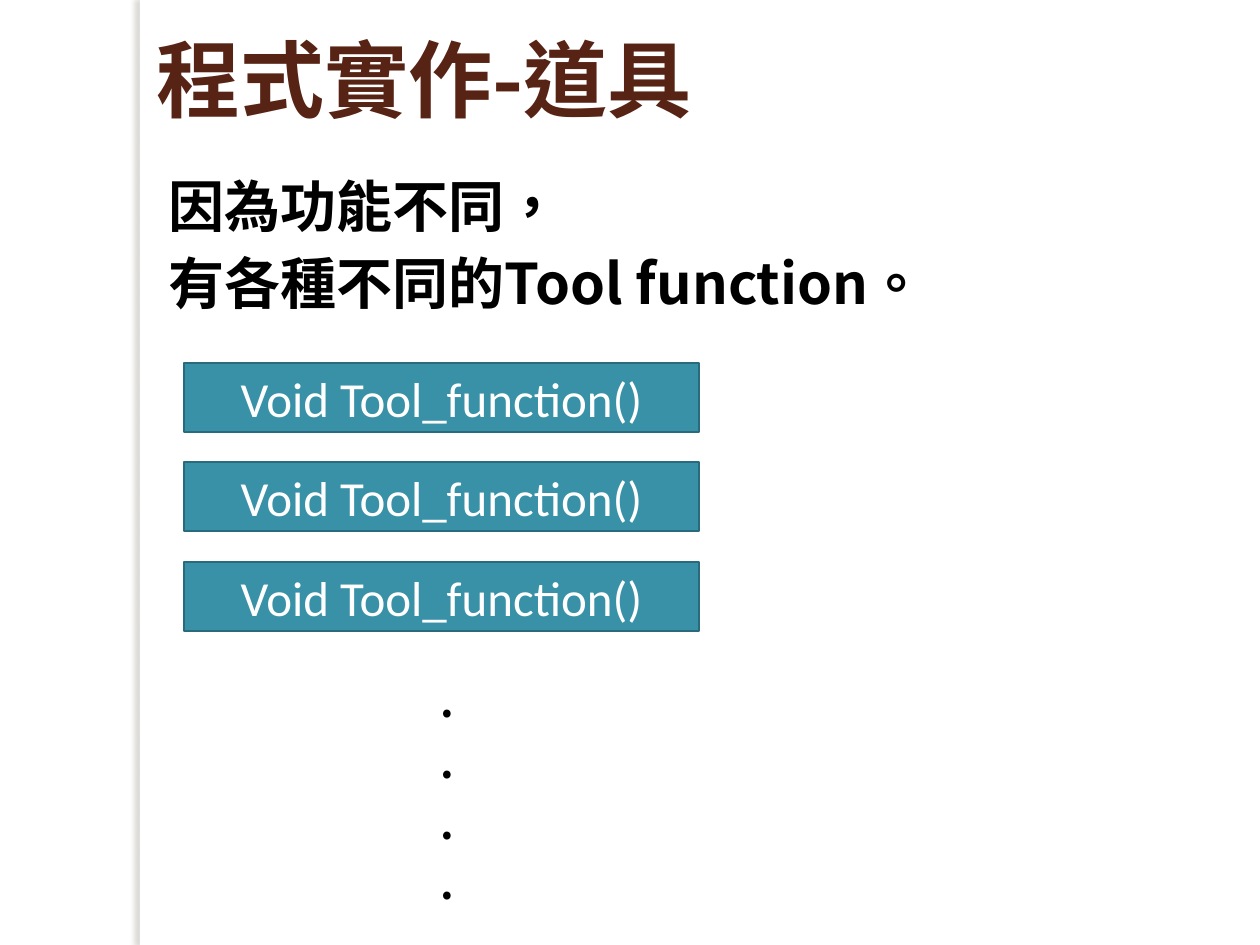
from dataclasses import dataclass

from lxml.etree import SubElement as Sub
from pptx import Presentation
from pptx.dml.color import RGBColor
from pptx.enum.shapes import MSO_SHAPE as Preset
from pptx.enum.text import MSO_ANCHOR as Anchor, PP_ALIGN as Align
from pptx.oxml.ns import qn
from pptx.util import Emu, Pt

PX = 914400 // 126
CJK = "Noto Sans CJK SC"
BLACK = RGBColor(0x00, 0x00, 0x00)
WHITE = RGBColor(0xFF, 0xFF, 0xFF)
BROWN = RGBColor(0x57, 0x23, 0x14)
TEAL = RGBColor(0x38, 0x91, 0xA7)
EDGE = RGBColor(0x29, 0x6B, 0x7C)


@dataclass
class Style:
    size: int
    color: RGBColor
    face: str = CJK
    bold: bool = True
    align: Align = Align.LEFT
    anchor: Anchor = Anchor.TOP
    listed: bool = False  # indented paragraphs with a gap above


@dataclass
class Box:
    x: int
    y: int
    w: int
    h: int

    def emu(self) -> list[Emu]:
        return [Emu(n * PX) for n in (self.x, self.y, self.w, self.h)]


def write(shape, lines: list[str], style: Style) -> None:
    frame = shape.text_frame
    frame.word_wrap = True
    frame.vertical_anchor = style.anchor
    frame.text = "\n".join(lines)
    for para in frame.paragraphs:
        para.alignment = style.align
        if style.listed:
            para.space_before = Pt(6)
            para._p.get_or_add_pPr().set("marL", str(12 * PX))
        font = para.font
        font.size, font.bold, font.name = Pt(style.size), style.bold, style.face
        font.color.rgb = style.color
        # East Asian face, and the language that centres its punctuation
        props = para._p.pPr.find(qn("a:defRPr"))
        props.set("lang", "zh-TW")
        Sub(props, qn("a:ea")).set("typeface", style.face)


def block(box: Box, fill: RGBColor):
    shape = slide.shapes.add_shape(Preset.RECTANGLE, *box.emu())
    shape.shadow.inherit = False
    shape.fill.solid()
    shape.fill.fore_color.rgb = fill
    shape.line.fill.background()
    return shape


def label(box: Box, lines: list[str], style: Style) -> None:
    write(slide.shapes.add_textbox(*box.emu()), lines, style)


deck = Presentation()
deck.slide_width, deck.slide_height = Emu(1260 * PX), Emu(945 * PX)
slide = deck.slides.add_slide(deck.slide_layouts[6])

# Side strip with a soft shadow to its left
strip = block(Box(140, 0, 10, 945), WHITE)
glow = Sub(strip._element.spPr.find(qn("a:effectLst")), qn("a:outerShdw"),
           blurRad=str(Pt(3)), dist=str(Pt(3)), dir="10800000",
           algn="tl", rotWithShape="0")
tint = Sub(glow, qn("a:srgbClr"), val="736F63")
Sub(tint, qn("a:alpha"), val="25000")

# Title and lead text
label(Box(144, 10, 1071, 135), ["程式實作-道具"],
      Style(48, BROWN, anchor=Anchor.MIDDLE))
label(Box(144, 165, 1145, 110),
      ["因為功能不同\uff0c", "有各種不同的Tool function。"],
      Style(32, BLACK, listed=True))

# Function boxes
code = Style(28, WHITE, "Calibri", False, Align.CENTER, Anchor.MIDDLE)
for row in range(3):
    bar = block(Box(184, 363 + row * 199 // 2, 515, 69), TEAL)
    bar.line.color.rgb = EDGE
    bar.line.width = Pt(1.5)
    write(bar, ["Void Tool_function()"], code)

# Dots for the functions that follow
label(Box(363, 669, 156, 244), ["."] * 4,
      Style(24, BLACK, align=Align.CENTER, listed=True))

deck.save("out.pptx")
